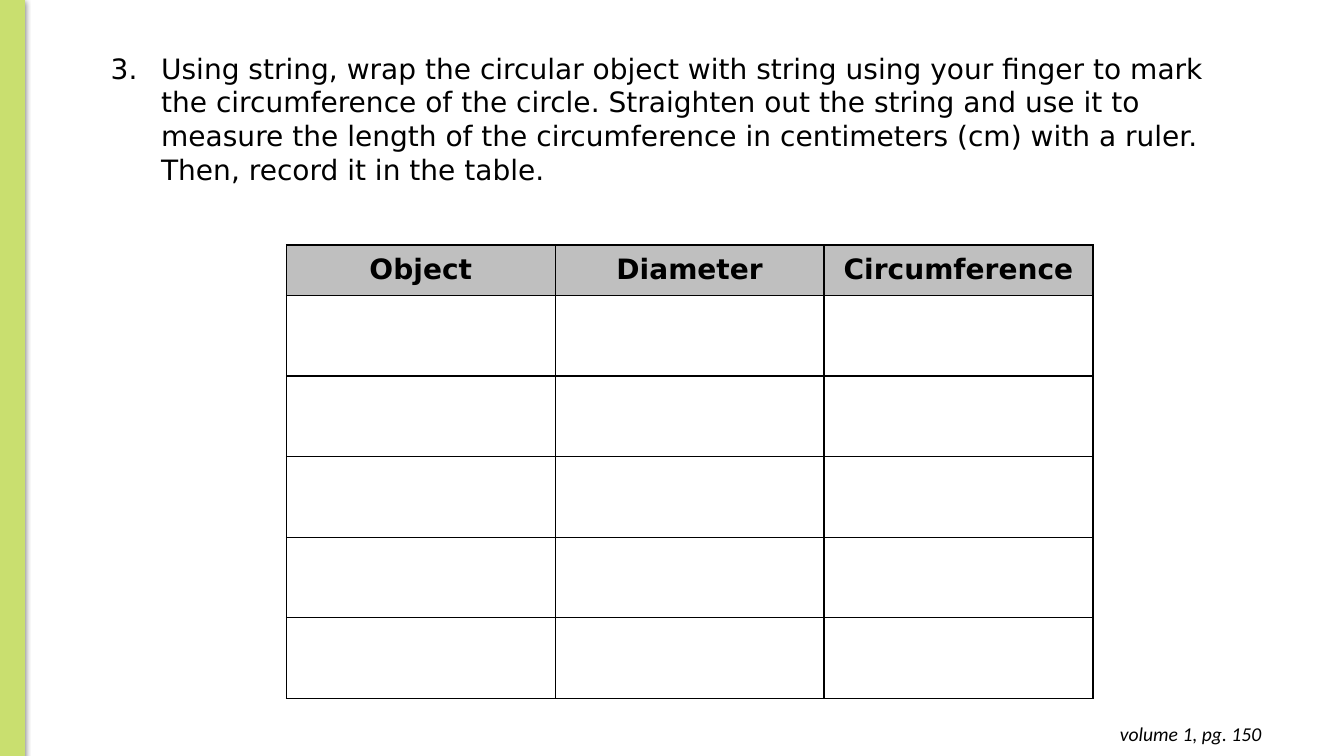
"""Build the circumference measuring slide with its recording table."""
from lxml import etree
from pptx import Presentation
from pptx import util as u
from pptx.dml.color import RGBColor
from pptx.enum import shapes, text
from pptx.oxml import parse_xml
from pptx.oxml.ns import nsdecls, qn

COLORS = {"green": "C9DF6F", "black": "000000", "gray": "BFBFBF"}
HEADERS = ["Object", "Diameter", "Circumference"]
STEP = (
    "Using string, wrap the circular object with string using your finger to mark "
    "the circumference of the circle. Straighten out the string and use it to "
    "measure the length of the circumference in centimeters (cm) with a ruler. "
    "Then, record it in the table."
)


def rgb(name):
    return RGBColor.from_string(COLORS[name])


def style(p, size, name):
    font = p.runs[0].font
    font.size, font.name = u.Pt(size), name
    font.color.rgb = rgb("black")
    return font


prs = Presentation()
prs.slide_width, prs.slide_height = u.Inches(13.33), u.Inches(7.5)
s = prs.slides.add_slide(prs.slide_layouts[6])

bar = s.shapes.add_shape(shapes.MSO_SHAPE.RECTANGLE, 0, 0, u.Inches(0.24), u.Inches(7.51))
bar.fill.solid()
bar.fill.fore_color.rgb = rgb("green")
bar.line.color.rgb = rgb("green")
bar.line.width = u.Pt(0.75)
bar.shadow.inherit = False
bar._element.spPr.find(qn("a:effectLst")).append(parse_xml(
    f'<a:outerShdw {nsdecls("a")} blurRad="{u.Pt(4.5)}" dist="{u.Pt(1.5)}" dir="5400000" '
    f'rotWithShape="0"><a:srgbClr val="{COLORS["black"]}"><a:alpha val="50000"/>'
    "</a:srgbClr></a:outerShdw>"))

page = s.shapes.add_textbox(u.Inches(9.73), u.Inches(7.06), u.Inches(2.88), u.Inches(0.44))
tf = page.text_frame
tf.word_wrap = True
tf.auto_size = text.MSO_AUTO_SIZE.SHAPE_TO_FIT_TEXT
tf.margin_top = tf.margin_bottom = u.Inches(0.1)
tf.text = "volume 1, pg. 150"
p = tf.paragraphs[0]
p.alignment = text.PP_ALIGN.RIGHT
style(p, 14, "Calibri").italic = True

step = s.shapes.add_textbox(u.Inches(1), u.Inches(0.46), u.Inches(11.5), u.Inches(1.78))
tf = step.text_frame
tf.word_wrap = True
tf.auto_size = text.MSO_AUTO_SIZE.SHAPE_TO_FIT_TEXT
tf.text = STEP
p = tf.paragraphs[0]
pPr = p._p.get_or_add_pPr()
pPr.set("marL", str(u.Inches(0.5)))
pPr.set("indent", str(-u.Inches(0.5)))
bullet_color = etree.SubElement(pPr, qn("a:buClr"))
etree.SubElement(bullet_color, qn("a:srgbClr"), val=COLORS["black"])
etree.SubElement(pPr, qn("a:buFont"), typeface="+mj-lt")
etree.SubElement(pPr, qn("a:buAutoNum"), type="arabicPeriod", startAt="3")
style(p, 20, "DejaVu Sans")

table = s.shapes.add_table(
    6, 3, u.Inches(2.84), u.Inches(2.43), u.Inches(8), u.Inches(4.5)).table
table.first_row = table.horz_banding = False
for col in table.columns:
    col.width = u.Inches(8 / 3)
for i, row in enumerate(table.rows):
    row.height = u.Inches(0.8 if i else 0.5)
    for cell, header in zip(row.cells, HEADERS):
        tcPr = cell._tc.get_or_add_tcPr()
        for side in ("lnL", "lnR", "lnT", "lnB"):
            ln = etree.SubElement(tcPr, qn(f"a:{side}"), w=str(u.Pt(1)))
            fill = etree.SubElement(ln, qn("a:solidFill"))
            etree.SubElement(fill, qn("a:srgbClr"), val=COLORS["black"])
        if i:
            cell.fill.background()
            continue
        cell.fill.solid()
        cell.fill.fore_color.rgb = rgb("gray")
        cell.margin_left = cell.margin_right = u.Inches(0.07)
        cell.margin_top = cell.margin_bottom = 0
        cell.vertical_anchor = text.MSO_ANCHOR.MIDDLE
        cell.text_frame.text = header
        p = cell.text_frame.paragraphs[0]
        p.alignment = text.PP_ALIGN.CENTER
        style(p, 20, "DejaVu Sans").bold = True

prs.save("out.pptx")
